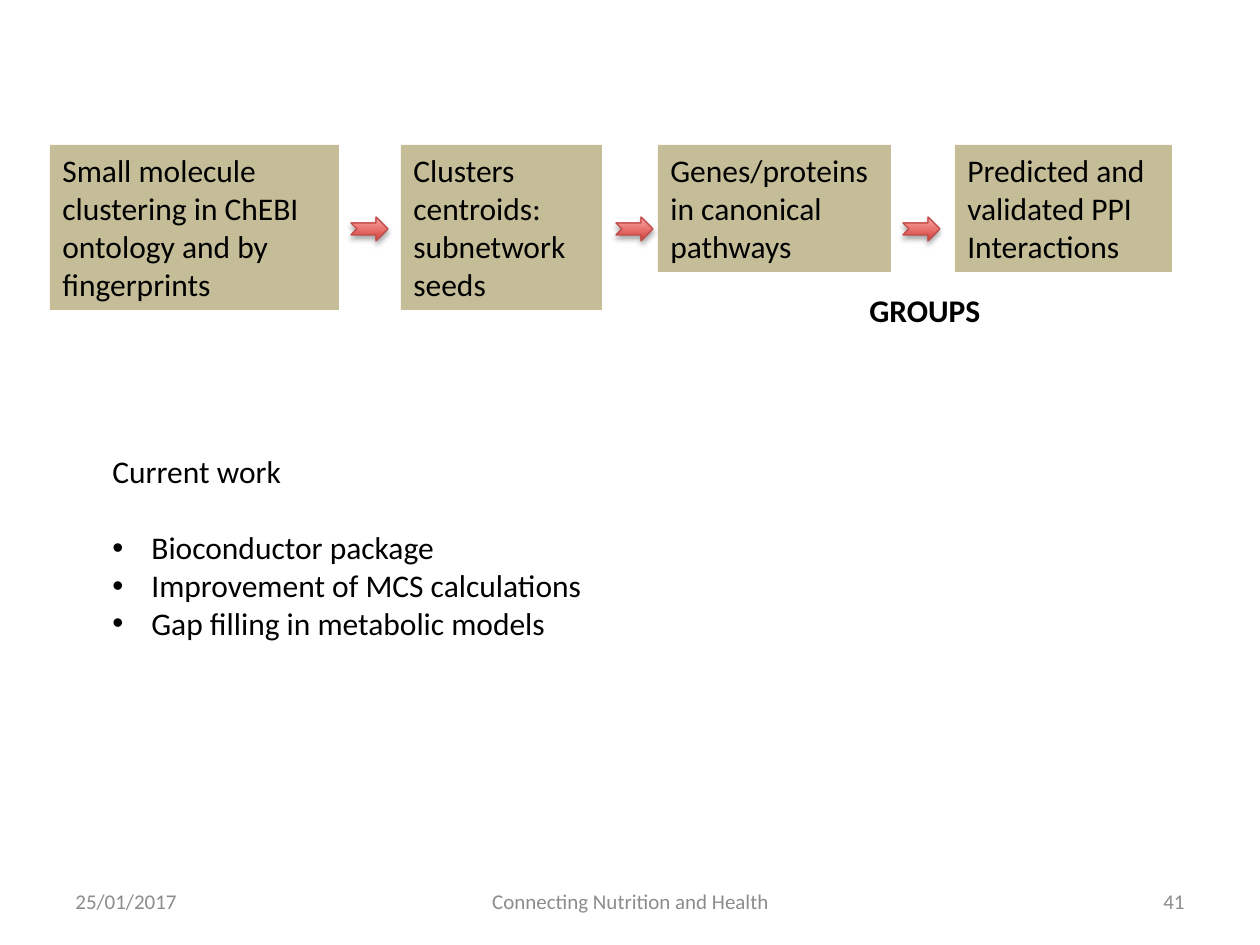
"""Build a slide with a four-step workflow, its arrows and a list of current work."""
from dataclasses import dataclass
from lxml.etree import SubElement
from pptx import Presentation
from pptx.dml.color import RGBColor
from pptx.enum.shapes import MSO_SHAPE
from pptx.enum.text import MSO_ANCHOR, PP_ALIGN
from pptx.oxml.ns import qn
from pptx.util import Pt


@dataclass(frozen=True)
class Theme:
    font: str = "Calibri"
    body: int = 18
    small: int = 12
    ink: str = "000000"
    gray: str = "8C8C8C"
    tan: str = "C4BD97"
    red: str = "D1403C"
    pink: str = "FFA6A5"
    edge: str = "BF4C48"


theme = Theme()
SCALE = 914400 / 126


def px(*nums):
    return [round(n * SCALE) for n in nums]


def write(para, text, size=theme.body, color=theme.ink, bold=False):
    run = para.add_run()
    run.text = text
    run.font.name = theme.font
    run.font.size = Pt(size)
    run.font.bold = bold
    run.font.color.rgb = RGBColor.from_string(color)


deck = Presentation()
deck.slide_width, deck.slide_height = px(1260, 945)
slide = deck.slides.add_slide(deck.slide_layouts[6])
shapes = slide.shapes

steps = [
    (50, 289, 165, "Small molecule clustering in ChEBI ontology and by fingerprints"),
    (401, 201, 165, "Clusters centroids: subnetwork seeds"),
    (658, 233, 127, "Genes/proteins in canonical pathways"),
    (955, 217, 127, "Predicted and validated PPI Interactions"),
]
for left, wide, high, text in steps:
    box = shapes.add_shape(MSO_SHAPE.RECTANGLE, *px(left, 145, wide, high))
    box.shadow.inherit = False
    box.fill.solid()
    box.fill.fore_color.rgb = RGBColor.from_string(theme.tan)
    box.line.fill.background()
    frame = box.text_frame
    frame.word_wrap = True
    frame.vertical_anchor = MSO_ANCHOR.TOP
    para = frame.paragraphs[0]
    para.alignment = PP_ALIGN.LEFT
    write(para, text)

for left in (351, 616, 903):
    arrow = shapes.add_shape(MSO_SHAPE.NOTCHED_RIGHT_ARROW, *px(left, 217, 37, 24))
    arrow.fill.gradient()
    arrow.fill.gradient_angle = 90
    for stop, color in zip(arrow.fill.gradient_stops, (theme.red, theme.pink)):
        stop.color.rgb = RGBColor.from_string(color)
    arrow.line.color.rgb = RGBColor.from_string(theme.edge)
    arrow.line.width = Pt(0.75)
    arrow.shadow.inherit = False
    glow = SubElement(
        arrow._element.spPr.find(qn("a:effectLst")), qn("a:outerShdw"),
        blurRad=str(Pt(3.1)), dist=str(Pt(1.8)), dir="5400000", rotWithShape="0")
    shade = SubElement(glow, qn("a:srgbClr"), val=theme.ink)
    SubElement(shade, qn("a:alpha"), val="35000")

label = shapes.add_textbox(*px(857, 285, 166, 50)).text_frame
label.word_wrap = True
write(label.paragraphs[0], "GROUPS", bold=True)

work = shapes.add_textbox(*px(100, 446, 924, 204)).text_frame
work.word_wrap = True
head = work.paragraphs[0]
head.space_after = Pt(22)
write(head, "Current work")
for text in ("Bioconductor package", "Improvement of MCS calculations",
             "Gap filling in metabolic models"):
    para = work.add_paragraph()
    props = para._p.get_or_add_pPr()
    dent = px(39)[0]
    props.set("marL", str(dent))
    props.set("indent", str(-dent))
    SubElement(props, qn("a:buFont"), typeface="Arial")
    SubElement(props, qn("a:buChar"), char="•")
    write(para, text)

foot = [
    (63, 294, PP_ALIGN.LEFT, "25/01/2017"),
    (431, 399, PP_ALIGN.CENTER, "Connecting Nutrition and Health"),
    (903, 294, PP_ALIGN.RIGHT, "41"),
]
for left, wide, align, text in foot:
    frame = shapes.add_textbox(*px(left, 876, wide, 50)).text_frame
    frame.word_wrap = True
    frame.vertical_anchor = MSO_ANCHOR.MIDDLE
    para = frame.paragraphs[0]
    para.alignment = align
    write(para, text, theme.small, theme.gray)

deck.save("out.pptx")
